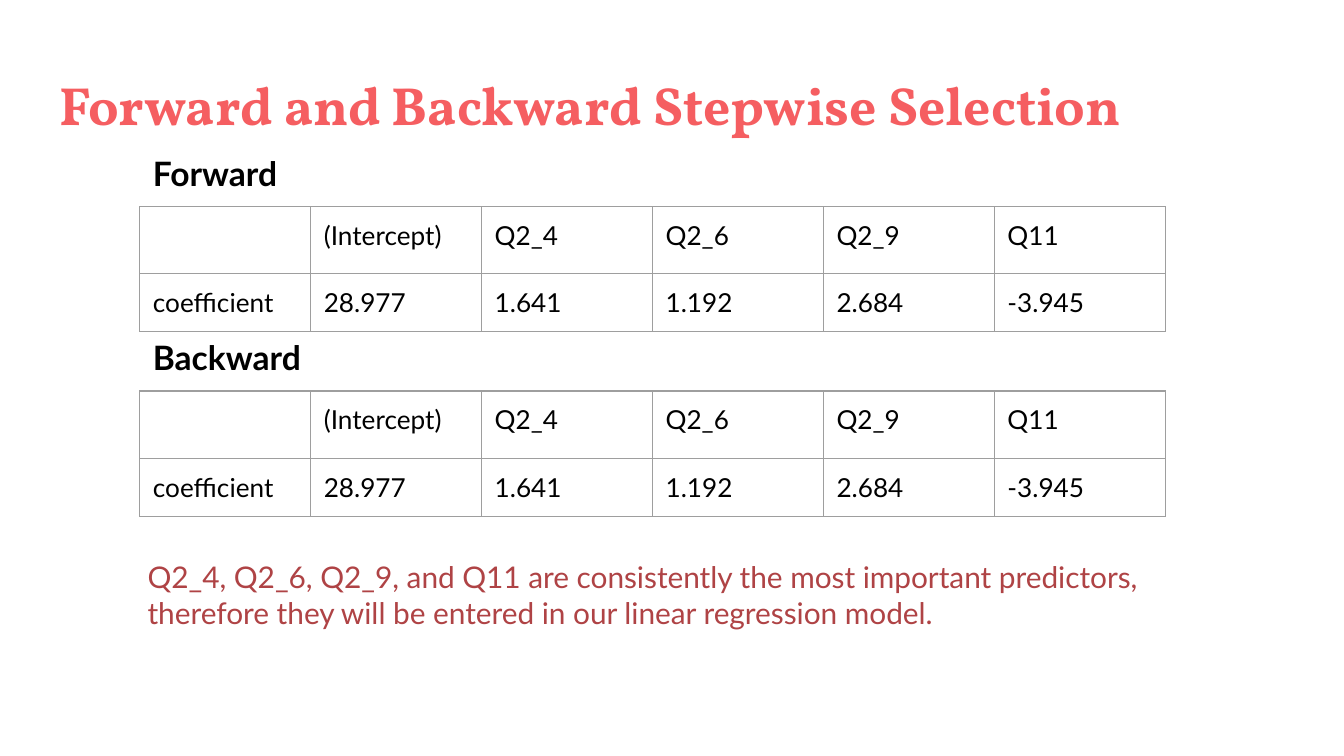
from pptx import Presentation
from pptx.util import Cm, Pt
from pptx.dml.color import RGBColor as Rgb
from pptx.enum.text import MSO_ANCHOR as Anchor, MSO_AUTO_SIZE as Fit, PP_ALIGN as Align
from lxml.etree import SubElement as Sub
from pptx.oxml.ns import qn

TITLE = "Forward and Backward Stepwise Selection"
ROWS = [
    ["", "(Intercept)", "Q2_4", "Q2_6", "Q2_9", "Q11"],
    ["coefficient", "28.977", "1.641", "1.192", "2.684", "-3.945"],
]
PARTS = [
    ("Forward", 2.64, (1.21, 1.1)),
    ("Backward", 6.12, (1.27, 1.1)),
]
NOTE = ("Q2_4, Q2_6, Q2_9, and Q11 are consistently the most important predictors, "
        "therefore they will be entered in our linear regression model.")
COLORS = {"title": "F55E61", "text": "000000", "note": "AF4345", "grid": "9E9E9E"}
LEFT, COL, HEAD, PAD = 2.64, 3.23, 1.27, 0.25


def write(frame, text, size, color, font="Lato", bold=False):
    para = frame.paragraphs[0]
    para.alignment = Align.LEFT
    run = para.add_run()
    run.text = text
    run.font.size = Pt(size)
    run.font.name = font
    run.font.bold = bold
    run.font.color.rgb = Rgb.from_string(COLORS[color])


def setup(frame, fit):
    frame.word_wrap = True
    frame.auto_size = fit
    frame.vertical_anchor = Anchor.TOP
    frame.margin_left = frame.margin_right = Cm(PAD)
    frame.margin_top = frame.margin_bottom = Cm(PAD)


def label(slide, box, text, size, color, bold=False):
    frame = slide.shapes.add_textbox(*map(Cm, box)).text_frame
    setup(frame, Fit.SHAPE_TO_FIT_TEXT)
    write(frame, text, size, color, bold=bold)


def border(cell):
    props = cell._tc.get_or_add_tcPr()
    for side in ("lnL", "lnR", "lnT", "lnB"):
        line = Sub(props, qn(f"a:{side}"), w=str(Pt(0.75)))
        fill = Sub(line, qn("a:solidFill"))
        Sub(fill, qn("a:srgbClr"), val=COLORS["grid"])


def grid(slide, top, highs):
    cols = len(ROWS[0])
    box = (LEFT, top, cols * COL, sum(highs))
    table = slide.shapes.add_table(len(ROWS), cols, *map(Cm, box)).table
    table.first_row = table.horz_banding = False
    for col in table.columns:
        col.width = Cm(COL)
    for row, high, texts in zip(table.rows, highs, ROWS):
        row.height = Cm(high)
        for cell, text in zip(row.cells, texts):
            cell.margin_left = cell.margin_right = Cm(PAD)
            cell.margin_top = cell.margin_bottom = Cm(PAD)
            border(cell)
            cell.fill.background()
            write(cell.text_frame, text, 14, "text")


def main():
    deck = Presentation()
    deck.slide_width, deck.slide_height = Cm(25.4), Cm(14.29)
    slide = deck.slides.add_slide(deck.slide_layouts[5])
    title = slide.shapes.title
    title.left, title.top, title.width, title.height = map(Cm, (0.87, 1.1, 23.67, 1.73))
    setup(title.text_frame, Fit.NONE)
    write(title.text_frame, TITLE, 28.8, "title", "Vollkorn", True)
    for name, top, highs in PARTS:
        label(slide, (LEFT, top, 4.65, HEAD), name, 18, "text", True)
        grid(slide, top + HEAD, highs)
    label(slide, (2.54, 10.31, 19.51, 1.88), NOTE, 16, "note")
    deck.save("out.pptx")


if __name__ == "__main__":
    main()
